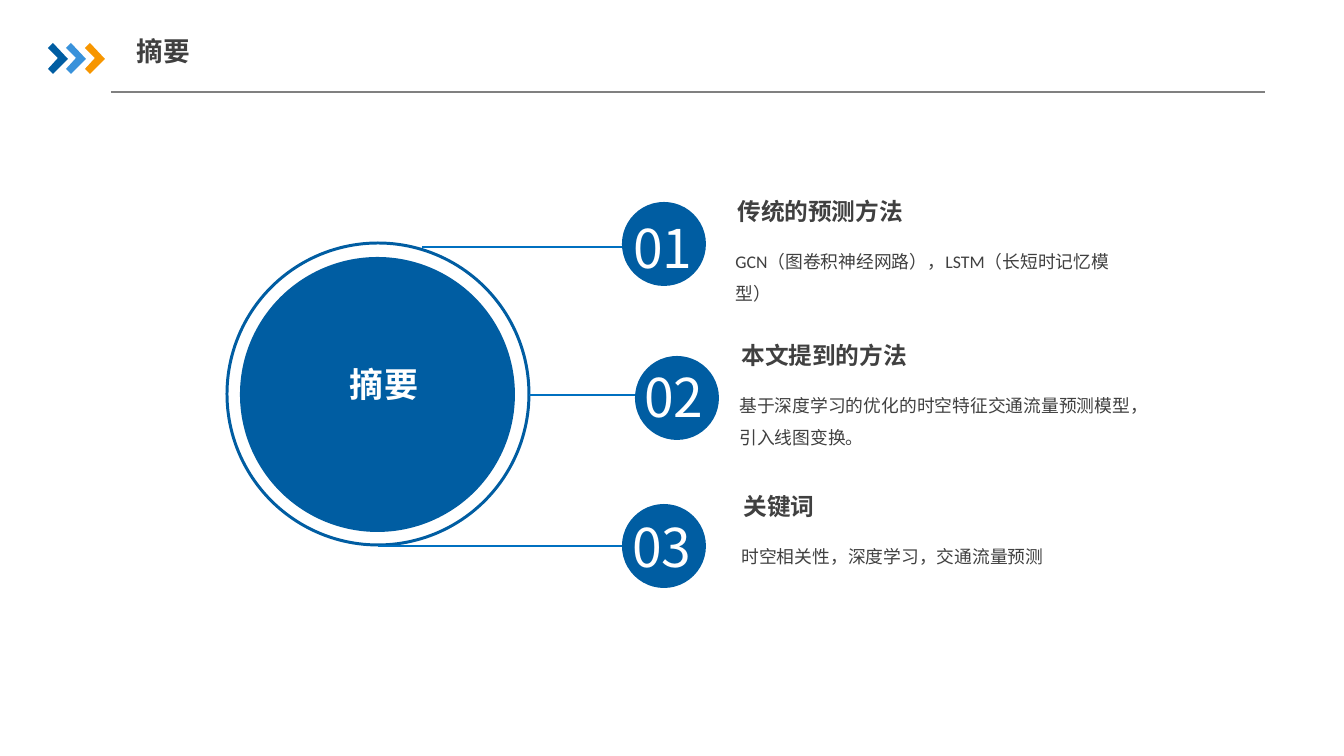
from pptx import Presentation
from pptx.dml.color import RGBColor
from pptx.enum.shapes import MSO_CONNECTOR as Connector, MSO_SHAPE as Shape
from pptx.enum.text import MSO_ANCHOR as Anchor
from pptx.oxml.ns import qn
from pptx.util import Pt
from lxml.etree import SubElement

PIXEL = 8572.5
NAVY = RGBColor(0x00, 0x5D, 0xA2)
SKY = RGBColor(0x39, 0x92, 0xDB)
ORANGE = RGBColor(0xF7, 0x96, 0x00)
BLUE = RGBColor(0x00, 0x70, 0xC0)
GRAY = RGBColor(0x80, 0x80, 0x80)
DARK = RGBColor(0x40, 0x40, 0x40)
WHITE = RGBColor(0xFF, 0xFF, 0xFF)
CHINESE = "Noto Sans CJK SC"
LATIN = "Calibri"


def px(*lengths):
    return [round(length * PIXEL) for length in lengths]


class Painter:
    def __init__(self, page):
        self.shapes = page.shapes

    def line(self, left, right, y, color):
        line = self.shapes.add_connector(Connector.STRAIGHT, *px(left, y, right, y))
        line.line.color.rgb = color
        line.line.width = Pt(0.75)
        SubElement(line._element.spPr, qn("a:effectLst"))

    def chevron(self, left, top, color):
        outline = [(0, 5), (5, 0), (20, 16), (5, 31), (0, 26), (10, 15)]
        points = [(left + x, top + y) for x, y in outline]
        builder = self.shapes.build_freeform(*points[0], scale=PIXEL)
        builder.add_line_segments(points[1:], close=True)
        self.paint(builder.convert_to_shape(), color)

    def disc(self, left, top, size, fill=None, border=None):
        disc = self.shapes.add_shape(Shape.OVAL, *px(left, top, size, size))
        self.paint(disc, fill, border)

    def paint(self, shape, fill=None, border=None):
        shape.shadow.inherit = False
        if fill is None:
            shape.fill.background()
        else:
            shape.fill.solid()
            shape.fill.fore_color.rgb = fill
        if border is None:
            shape.line.fill.background()
        else:
            shape.line.color.rgb = border
            shape.line.width = Pt(2)

    def text(self, words, area, size, color=DARK, font=CHINESE, bold=False,
             wrap=True, spacing=None, anchor=Anchor.TOP, inset=None):
        frame = self.shapes.add_textbox(*px(*area)).text_frame
        frame.word_wrap = wrap
        frame.vertical_anchor = anchor
        if inset is not None:
            frame.margin_left, frame.margin_top = px(*inset)
            frame.margin_right, frame.margin_bottom = px(*inset)
        para = frame.paragraphs[0]
        para.text = words
        para.line_spacing = spacing
        para.font.size = Pt(size)
        para.font.bold = bold
        para.font.color.rgb = color
        para.font.name = font
        defaults = para._p.pPr.find(qn("a:defRPr"))
        SubElement(defaults, qn("a:ea"), typeface=CHINESE)


deck = Presentation()
deck.slide_width, deck.slide_height = px(1344, 756)
page = deck.slides.add_slide(deck.slide_layouts[6])
painter = Painter(page)

painter.line(111, 1265, 92, GRAY)
for index, color in enumerate([NAVY, SKY, ORANGE]):
    painter.chevron(48 + 37 * index // 2, 43, color)
painter.text("摘要", (137, 28, 947, 45), 18, bold=True,
             anchor=Anchor.MIDDLE, inset=(0, 5))

painter.disc(240, 257, 275, fill=NAVY)
painter.disc(227, 243, 302, border=NAVY)
painter.text("摘要", (343, 359, 85, 49), 23, WHITE, bold=True,
             wrap=False, inset=(7, 4))

for left, right, y in [(422, 622, 247), (529, 663, 395), (378, 663, 546)]:
    painter.line(left, right, y, BLUE)

topics = [
    ("01", (622, 202), (623, 210), (727, 192), CHINESE, "传统的预测方法",
     "GCN（图卷积神经网路），LSTM（长短时记忆模型）"),
    ("02", (635, 356), (634, 359), (731, 336), LATIN, "本文提到的方法",
     "基于深度学习的优化的时空特征交通流量预测模型，引入线图变换。"),
    ("03", (622, 504), (622, 509), (733, 487), CHINESE, "关键词",
     "时空相关性，深度学习，交通流量预测"),
]
for number, badge, label, (left, top), font, heading, detail in topics:
    painter.disc(*badge, 84, fill=NAVY)
    painter.text(number, (*label, 84, 76), 36, WHITE, wrap=False)
    painter.text(heading, (left, top, 236, 39), 16, font=font, bold=True)
    painter.text(detail, (left - 2, top + 43, 414, 76), 12, font=LATIN, spacing=1.5)

deck.save("out.pptx")
